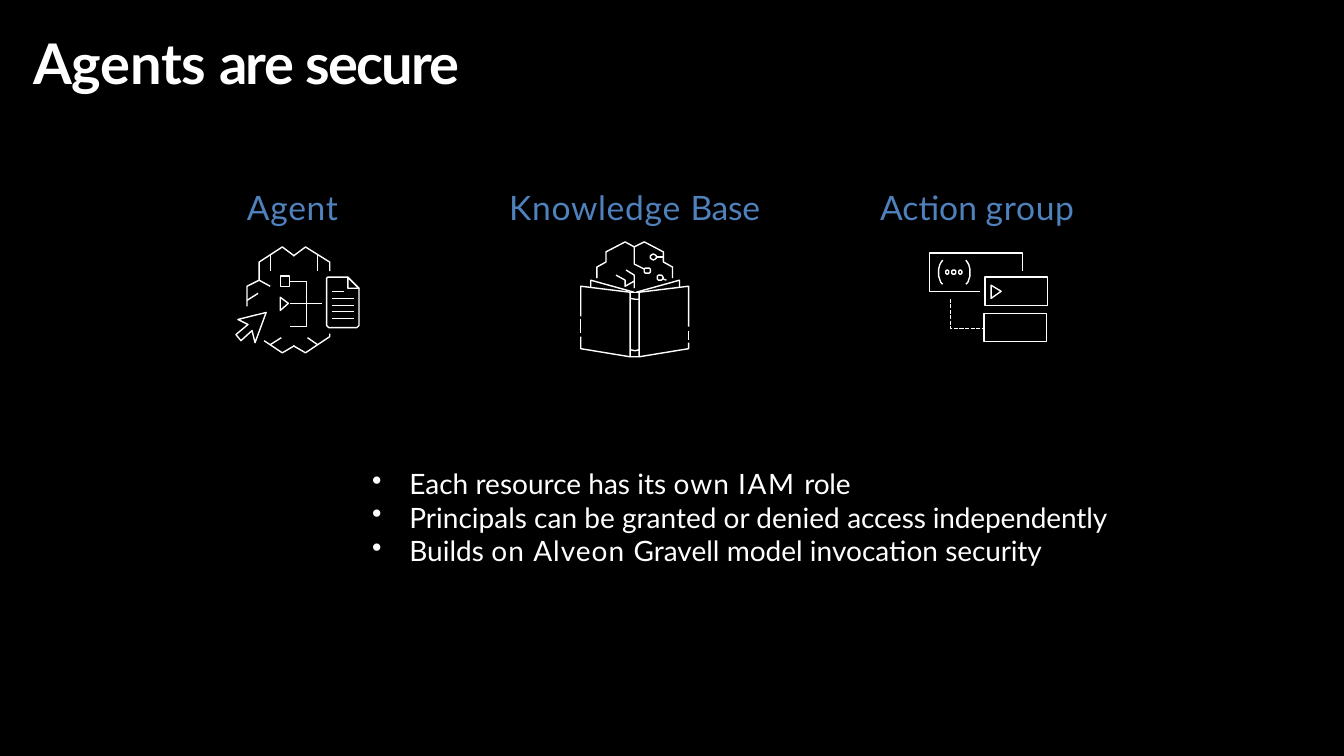
from math import cos, pi, sin

from lxml.etree import SubElement
from pptx import Presentation
from pptx.dml.color import RGBColor
from pptx.enum.dml import MSO_LINE_DASH_STYLE as Dash
from pptx.enum.text import MSO_AUTO_SIZE as AutoSize
from pptx.oxml.ns import qn
from pptx.util import Inches, Pt

BLACK = RGBColor(0x00, 0x00, 0x00)
WHITE = RGBColor(0xFF, 0xFF, 0xFF)
BLUE = RGBColor(0x4F, 0x81, 0xBD)
SLIDE_W, SLIDE_H = 13.33, 7.5


def ring(cx, cy, rx, ry):
    """Closed twelve-sided outline around a centre."""
    steps = [k % 12 * pi / 6 for k in range(13)]
    return [(cx + rx * cos(a), cy + ry * sin(a)) for a in steps]


# Content: runs are (words, letter spacing in points)
TITLE = [("Agents ", -0.2), ("are ", -1.4), ("secure", -1.3)]
POINTS = [
    [("Each resource has its ", 0), ("own ", 0.7), ("IAM ", 1.1), ("role", -0.2)],
    [("Principals can be granted or denied ", 0), ("access independently", -0.1)],
    [("Builds ", 0), ("on ", 0.8), ("Alveon ", 0.7),
     ("Gravell model invocation ", 0), ("security", -0.1)],
]

# Icon parts: lists of outlines in hundredths of an inch from the icon's corner
AGENT_ICON = [
    # Brain
    [[(81, 24), (81, 8)], [(81, 97), (71, 90)], [(34, 39), (23, 33)],
     [(34, 24), (34, 8)], [(11, 53), (22, 46)], [(34, 97), (45, 90)],
     [(93, 86), (93, 89), (69, 105), (57, 98)],
     [(57, 9), (69, 0), (93, 15), (93, 24)],
     [(28, 93), (46, 105), (58, 98)],
     [(58, 9), (46, 0), (23, 15), (23, 33), (11, 39), (11, 59)]],
    # Bracket, square and triangle
    [[(54, 56), (85, 56)], [(54, 34), (70, 34), (70, 79), (54, 79)]],
    [[(44, 39), (53, 39), (53, 29), (44, 29), (44, 39)]],
    [[(44, 63), (44, 50), (52, 56), (44, 63)]],
    # Document
    [[(90, 78), (90, 31), (91, 30), (111, 30), (122, 41), (122, 78),
      (120, 80), (92, 80), (90, 78)],
     [(111, 41), (122, 41), (111, 30), (111, 41)],
     [(95, 44), (107, 44)],
     *[[(95, y), (117, y)] for y in (51, 58, 64, 71)]],
    # Pointer
    [[(16, 83), (5, 93), (0, 87), (12, 77), (2, 72), (30, 65), (19, 95), (16, 83)]],
]
BOOK_ICON = [
    # Brain, right and left
    [[(63, 27), (53, 22), (53, 5), (63, 0), (82, 10), (82, 20), (91, 25), (91, 36)]],
    [[(53, 5), (44, 0), (25, 10), (25, 20), (16, 25), (16, 36)],
     [(35, 33), (44, 38), (44, 44), (53, 39)],
     [(82, 37), (85, 38)], [(82, 15), (75, 15)],
     [(53, 46), (53, 33), (45, 28)],
     *[ring(x, y, 3, 2.75) for x, y in ((72, 15), (78.5, 35.5), (66, 28.5))]],
    # Covers, spine and pages
    [[(107, 97), (107, 88)], [(58, 114), (107, 106), (107, 100)],
     [(0, 94), (0, 106), (49, 114)], [(0, 77), (0, 90)],
     [(107, 84), (107, 44), (58, 50), (58, 114), (49, 114), (49, 50), (0, 44), (0, 74)],
     [(58, 107), (54, 108), (49, 107)], [(58, 57), (54, 57), (49, 56)],
     [(58, 50), (49, 50)],
     [(10, 45), (10, 38), (53, 50)], [(98, 45), (98, 38), (55, 50)]],
]
LEFT_BRACE = [(13, 31), (11, 29), (10, 26), (9, 23), (9, 16), (10, 12), (11, 10), (13, 7)]
ACTION_ICON = [
    # Back frame
    [[(50, 38), (0, 38), (0, 0), (92, 0), (92, 18)]],
    # Front boxes, triangle, braces and dots
    [*[[(x, y), (x + 62, y), (x + 62, y - 28), (x, y - 28), (x, y)]
       for x, y in ((55, 52), (54, 88))],
     [(61, 32), (61, 45), (71, 38), (61, 32)],
     LEFT_BRACE, [(49 - x, y) for x, y in LEFT_BRACE],
     *[ring(x, 19, 1.75, 2) for x in (17.5, 24, 30.5)]],
]
ACTION_LINK = [[(20, 46), (21, 46), (21, 75), (53, 75)]]

# Resources: label runs, label left and width, icon corner, solid parts, dashed parts
RESOURCES = [
    ([("Agent", 0.5)], (2.44, 0.94), (2.34, 2.45), AGENT_ICON, []),
    ([("Knowledge ", 0.5), ("Base", -0.2)], (5.04, 2.5), (5.76, 2.4), BOOK_ICON, []),
    ([("Action ", 0), ("group", 0.5)], (8.72, 1.99), (9.22, 2.51),
     ACTION_ICON, [ACTION_LINK]),
]
LABEL_TOP, LABEL_H = 1.83, 0.43

prs = Presentation()
prs.slide_width, prs.slide_height = Inches(SLIDE_W), Inches(SLIDE_H)
slide = prs.slides.add_slide(prs.slide_layouts[6])
slide.background.fill.solid()
slide.background.fill.fore_color.rgb = BLACK


def add_text(box, paragraphs, size, color, bold=False, bullets=False):
    frame = slide.shapes.add_textbox(*map(Inches, box)).text_frame
    layout = dict(word_wrap=True, auto_size=AutoSize.SHAPE_TO_FIT_TEXT,
                  margin_left=0, margin_right=0, margin_bottom=0,
                  margin_top=Inches(0.02))
    for key, value in layout.items():
        setattr(frame, key, value)
    for i, runs in enumerate(paragraphs):
        para = frame.add_paragraph() if i else frame.paragraphs[0]
        props = para._p.get_or_add_pPr()
        props.set("marL", str(Inches(0.39 if bullets else 0.01)))
        if bullets:
            props.set("indent", str(Inches(-0.37)))
            SubElement(props, qn("a:buClr")).append(
                props.makeelement(qn("a:srgbClr"), {"val": str(color)}))
            SubElement(props, qn("a:buChar"), char="•")
            tabs = SubElement(props, qn("a:tabLst"))
            SubElement(tabs, qn("a:tab"), pos=str(Inches(0.39)), algn="l")
        for words, spacing in runs:
            run = para.add_run()
            run.text = words
            for key, value in dict(name="Lato", size=Pt(size), bold=bold).items():
                setattr(run.font, key, value)
            run.font.color.rgb = color
            run._r.get_or_add_rPr().set("spc", str(round(spacing * 100)))


def add_outline(group, corner, outlines, dash=None):
    builder = group.shapes.build_freeform(*outlines[0][0], scale=Inches(0.01))
    for i, outline in enumerate(outlines):
        if i:
            builder.move_to(*outline[0])
        closed = outline[0] == outline[-1]
        builder.add_line_segments(outline[1:-1] if closed else outline[1:], close=closed)
    shape = builder.convert_to_shape(*map(Inches, corner))
    shape.shadow.inherit = False
    shape.fill.background()
    shape.line.color.rgb = WHITE
    for key, value in dict(width=Pt(1), dash_style=dash).items():
        setattr(shape.line, key, value)


# Title
add_text((0.32, 0.26, 12.86, 0.69), [TITLE], 40, WHITE, bold=True)

# Resource labels and icons
for label, (left, width), corner, solid, dashed in RESOURCES:
    add_text((left, LABEL_TOP, width, LABEL_H), [label], 24, BLUE)
    icon = slide.shapes.add_group_shape()
    for part in solid:
        add_outline(icon, corner, part)
    for part in dashed:
        add_outline(icon, corner, part, Dash.SQUARE_DOT)

# Security points
add_text((3.67, 4.61, 7.61, 1.03), POINTS, 20, WHITE, bullets=True)

prs.save("out.pptx")
